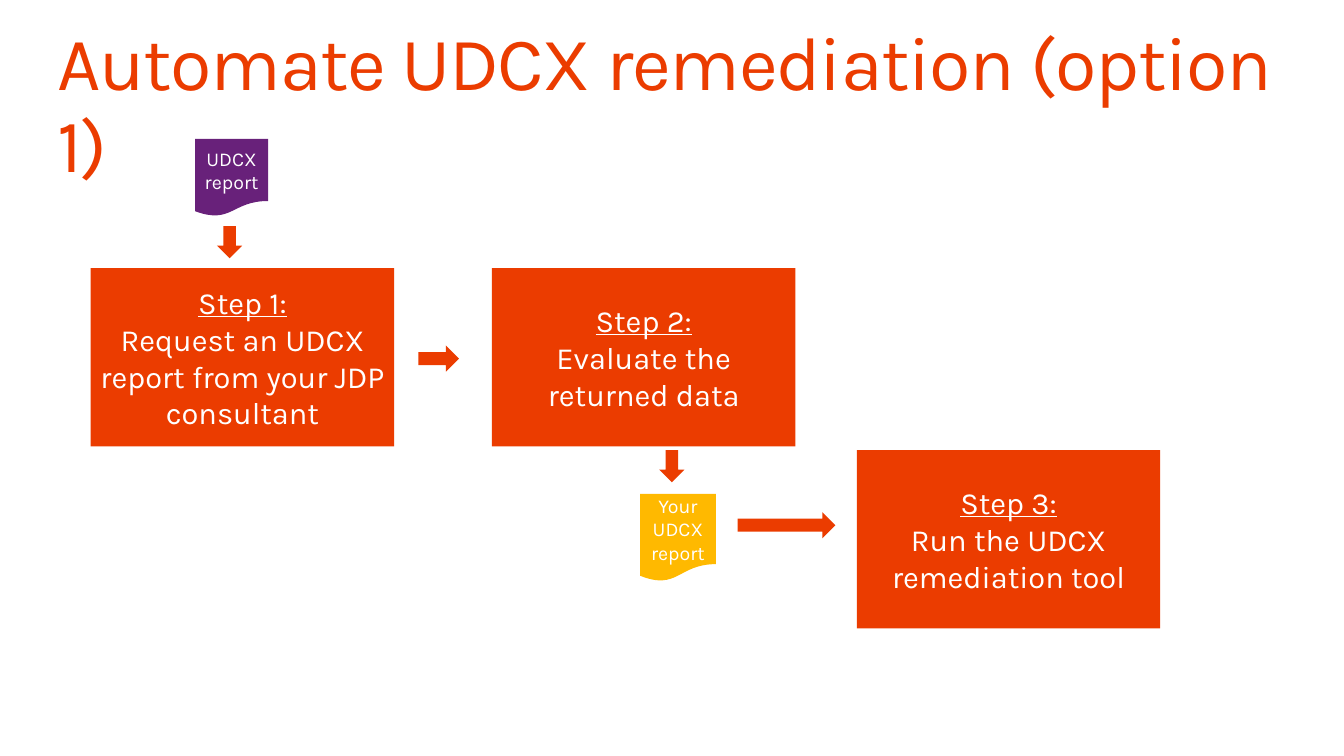
from pptx import Presentation
from pptx.dml.color import RGBColor
from pptx.enum.shapes import MSO_SHAPE
from pptx.enum.text import MSO_ANCHOR, PP_ALIGN
from pptx.util import Pt

ORANGE = RGBColor(0xEB, 0x3C, 0x00)
PURPLE = RGBColor(0x68, 0x21, 0x7A)
YELLOW = RGBColor(0xFF, 0xB9, 0x00)
WHITE = RGBColor(0xFF, 0xFF, 0xFF)
FONT = "Karla"


def write_text(frame, lines, size, color=WHITE, align=PP_ALIGN.CENTER,
               anchor=MSO_ANCHOR.MIDDLE, inset=3.6, underline_first=False,
               line_spacing=None, tracking=None):
    frame.word_wrap = True
    frame.vertical_anchor = anchor
    frame.margin_left = frame.margin_right = Pt(inset)
    frame.margin_top = frame.margin_bottom = Pt(inset)
    for index, line in enumerate(lines):
        paragraph = frame.add_paragraph() if index else frame.paragraphs[0]
        paragraph.alignment = align
        if line_spacing:
            paragraph.line_spacing = line_spacing
        run = paragraph.add_run()
        run.text = line
        run.font.name = FONT
        run.font.size = Pt(size)
        run.font.color.rgb = color
        if underline_first and index == 0:
            run.font.underline = True
        if tracking:
            run.font._element.set("spc", str(tracking * 100))


def add_title(slide, title):
    heading = slide.shapes.add_textbox(Pt(41), Pt(18), Pt(877.7), Pt(59))
    write_text(heading.text_frame, [title], size=54, color=ORANGE,
               align=PP_ALIGN.LEFT, anchor=MSO_ANCHOR.TOP, inset=0,
               line_spacing=0.9, tracking=-1)


def add_block(slide, preset, left, top, width, height, color=ORANGE):
    block = slide.shapes.add_shape(preset, Pt(left), Pt(top), Pt(width), Pt(height))
    block.shadow.inherit = False
    block.fill.solid()
    block.fill.fore_color.rgb = color
    block.line.fill.background()
    return block


def add_step(slide, number, action, left, top):
    step = add_block(slide, MSO_SHAPE.RECTANGLE, left, top, 216.7, 127.4)
    write_text(step.text_frame, [f"Step {number}:", action], size=22,
               underline_first=True)


def add_report(slide, words, left, top, width, height, color):
    report = add_block(slide, MSO_SHAPE.FLOWCHART_DOCUMENT,
                       left, top, width, height, color)
    write_text(report.text_frame, words, size=14)


def add_down_arrow(slide, left, top):
    add_block(slide, MSO_SHAPE.DOWN_ARROW, left, top, 18, 23)


def add_right_arrow(slide, left, top, length):
    add_block(slide, MSO_SHAPE.RIGHT_ARROW, left, top, length, 18.7)


def main():
    deck = Presentation()
    deck.slide_width = Pt(960)
    deck.slide_height = Pt(540)
    slide = deck.slides.add_slide(deck.slide_layouts[6])

    add_title(slide, "Automate UDCX remediation (option 1)")
    add_step(slide, 1, "Request an UDCX report from your JDP consultant", 64.8, 191.5)
    add_step(slide, 2, "Evaluate the returned data", 351.4, 191.5)
    add_report(slide, ["UDCX", "report"], 139.5, 99.2, 52, 55.4, PURPLE)
    add_down_arrow(slide, 155, 161.5)
    add_right_arrow(slide, 298.8, 246.8, 29)
    add_report(slide, ["Your", "UDCX", "report"], 457.2, 352.8, 54.2, 62.6, YELLOW)
    add_down_arrow(slide, 470.9, 321.5)
    add_step(slide, 3, "Run the UDCX remediation tool", 612, 321.5)
    add_right_arrow(slide, 527, 365.8, 69.8)

    deck.save("out.pptx")


if __name__ == "__main__":
    main()
